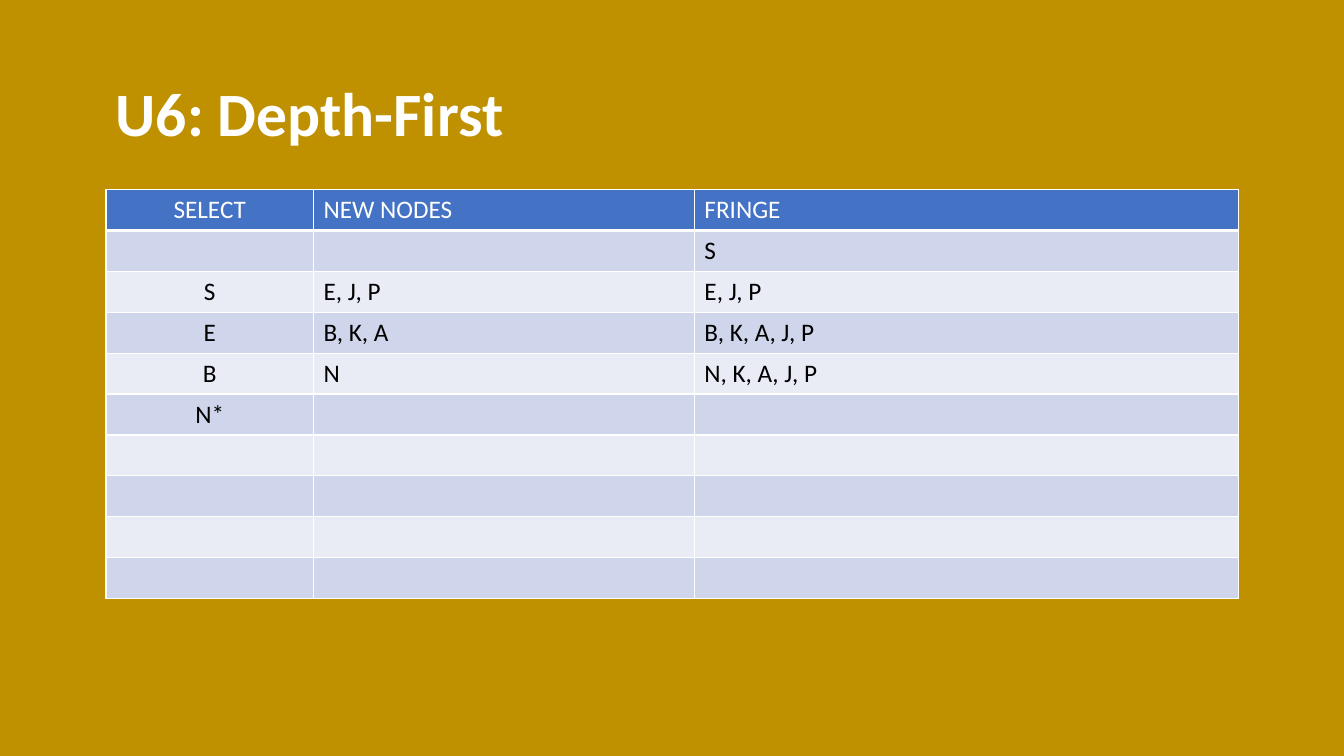
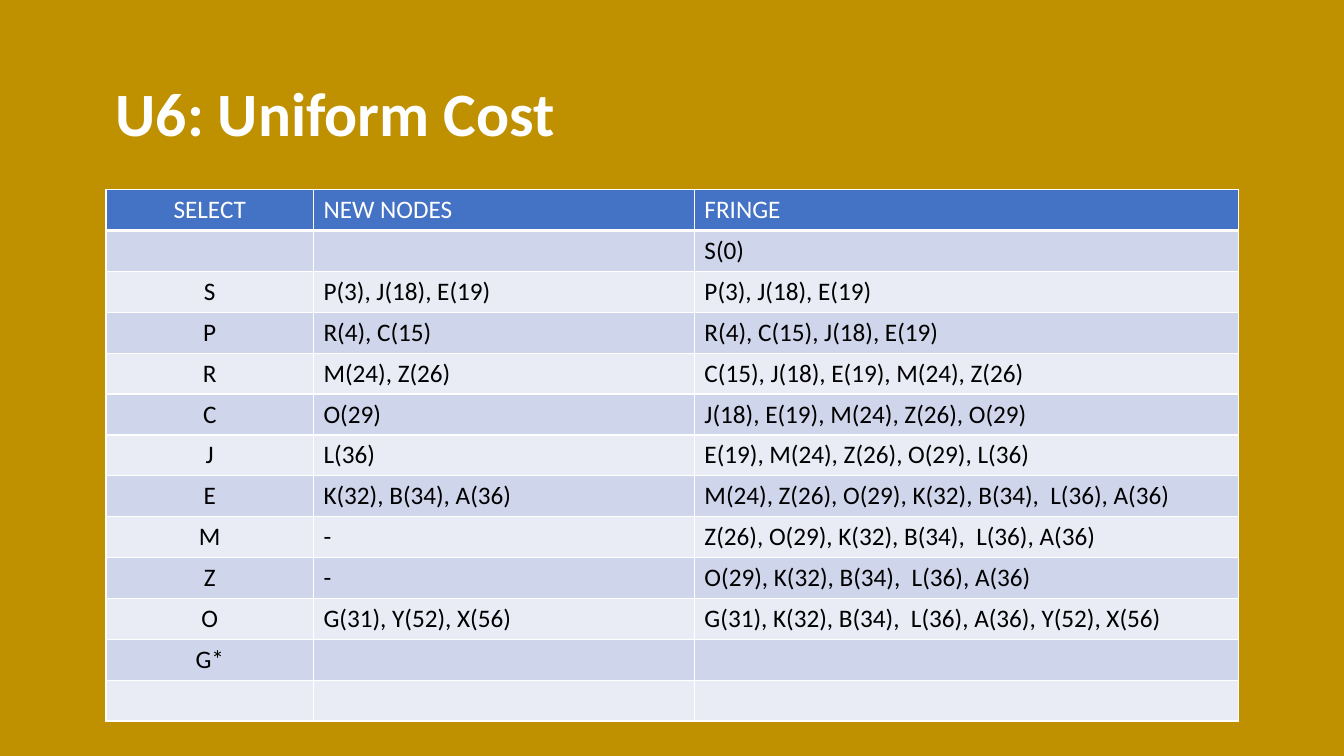
"""Build two search-trace slides, each a title above a table of search steps."""

from dataclasses import dataclass

from lxml import etree
from pptx import Presentation
from pptx.dml.color import RGBColor
from pptx.enum.text import MSO_ANCHOR, PP_ALIGN
from pptx.oxml.ns import qn
from pptx.presentation import Presentation as PresentationType
from pptx.slide import Slide
from pptx.table import _Cell
from pptx.text.text import TextFrame
from pptx.util import Cm, Pt

LEFT = PP_ALIGN.LEFT
CENTER = PP_ALIGN.CENTER
MIDDLE = MSO_ANCHOR.MIDDLE

FONT = "Calibri"
GOLD = "BF9000"
WHITE = "FFFFFF"
BLACK = "000000"
HEADER_BLUE = "4472C4"
BANDS = ("E9EBF5", "CFD5EA")

SLIDE_WIDTH, SLIDE_HEIGHT = Cm(33.87), Cm(19.05)
MARGIN_LEFT = Cm(2.67)
TITLE_TOP, TITLE_WIDTH, TITLE_HEIGHT = Cm(1.1), Cm(18.1), Cm(3.68)
TABLE_TOP = TITLE_TOP + TITLE_HEIGHT
COLUMN_WIDTHS = (Cm(5.23), Cm(9.6), Cm(13.72))
COLUMN_ALIGNMENTS = (CENTER, LEFT, LEFT)
ROW_HEIGHT = Cm(1.03)
HEADINGS = ("SELECT", "NEW NODES", "FRINGE")


@dataclass(frozen=True)
class SearchTrace:
    """A search strategy, its steps and the number of empty rows after them."""

    title: str
    steps: tuple[tuple[str, str, str], ...]
    spare_rows: int


TRACES = (
    SearchTrace(
        "U6: Depth-First",
        (
            ("", "", "S"),
            ("S", "E, J, P", "E, J, P"),
            ("E", "B, K, A", "B, K, A, J, P"),
            ("B", "N", "N, K, A, J, P"),
            ("N*", "", ""),
        ),
        spare_rows=4,
    ),
    SearchTrace(
        "U6: Uniform Cost",
        (
            ("", "", "S(0)"),
            ("S", "P(3), J(18), E(19)", "P(3), J(18), E(19)"),
            ("P", "R(4), C(15)", "R(4), C(15), J(18), E(19)"),
            ("R", "M(24), Z(26)", "C(15), J(18), E(19), M(24), Z(26)"),
            ("C", "O(29)", "J(18), E(19), M(24), Z(26), O(29)"),
            ("J", "L(36)", "E(19), M(24), Z(26), O(29), L(36)"),
            ("E", "K(32), B(34), A(36)", "M(24), Z(26), O(29), K(32), B(34),  L(36), A(36)"),
            ("M", "-", "Z(26), O(29), K(32), B(34),  L(36), A(36)"),
            ("Z", "-", "O(29), K(32), B(34),  L(36), A(36)"),
            ("O", "G(31), Y(52), X(56)", "G(31), K(32), B(34),  L(36), A(36), Y(52), X(56)"),
            ("G*", "", ""),
        ),
        spare_rows=1,
    ),
)


def color(value: str) -> RGBColor:
    """Turn a hex string into a colour."""
    return RGBColor.from_string(value)


def write_text(
    frame: TextFrame,
    text: str,
    *,
    size: float = 18,
    fill: str = BLACK,
    bold: bool = False,
    alignment: PP_ALIGN = LEFT,
    line_spacing: float = 1.0,
) -> None:
    """Write one formatted paragraph into a text frame."""
    paragraph = frame.paragraphs[0]
    paragraph.alignment = alignment
    paragraph.line_spacing = line_spacing
    paragraph.font.size = Pt(size)
    if not text:
        return
    run = paragraph.add_run()
    run.text = text
    run.font.name = FONT
    run.font.size = Pt(size)
    run.font.bold = bold
    run.font.color.rgb = color(fill)


def add_borders(cell: _Cell, bottom: float = 1) -> None:
    """Draw white borders, one point wide except for the bottom one."""
    properties = cell._tc.get_or_add_tcPr()
    for side, width in (("L", 1), ("R", 1), ("T", 1), ("B", bottom)):
        line = etree.SubElement(properties, qn(f"a:ln{side}"), w=str(Pt(width)))
        solid = etree.SubElement(line, qn("a:solidFill"))
        etree.SubElement(solid, qn("a:srgbClr"), val=WHITE)


def add_title(slide: Slide, text: str) -> None:
    """Add the slide title."""
    frame = slide.shapes.add_textbox(
        MARGIN_LEFT, TITLE_TOP, TITLE_WIDTH, TITLE_HEIGHT
    ).text_frame
    frame.word_wrap = True
    frame.vertical_anchor = MIDDLE
    write_text(frame, text, size=44, fill=WHITE, bold=True, line_spacing=0.9)


def add_trace_table(slide: Slide, trace: SearchTrace) -> None:
    """Add the banded table of search steps."""
    rows = (HEADINGS, *trace.steps, *[("", "", "")] * trace.spare_rows)
    table = slide.shapes.add_table(
        len(rows),
        len(HEADINGS),
        MARGIN_LEFT,
        TABLE_TOP,
        sum(COLUMN_WIDTHS),
        ROW_HEIGHT * len(rows),
    ).table
    for column, width in zip(table.columns, COLUMN_WIDTHS):
        column.width = width
    for row_index, values in enumerate(rows):
        is_header = row_index == 0
        table.rows[row_index].height = ROW_HEIGHT
        for column_index, text in enumerate(values):
            cell = table.cell(row_index, column_index)
            add_borders(cell, bottom=3 if is_header else 1)
            cell.fill.solid()
            cell.fill.fore_color.rgb = color(
                HEADER_BLUE if is_header else BANDS[row_index % 2]
            )
            write_text(
                cell.text_frame,
                text,
                fill=WHITE if is_header else BLACK,
                alignment=COLUMN_ALIGNMENTS[column_index],
            )


def add_trace_slide(presentation: PresentationType, trace: SearchTrace) -> None:
    """Add one slide showing a search trace."""
    slide = presentation.slides.add_slide(presentation.slide_layouts[6])
    add_title(slide, trace.title)
    add_trace_table(slide, trace)


def main() -> None:
    """Build and save the presentation."""
    presentation = Presentation()
    presentation.slide_width = SLIDE_WIDTH
    presentation.slide_height = SLIDE_HEIGHT
    background = presentation.slide_master.background.fill
    background.solid()
    background.fore_color.rgb = color(GOLD)
    for trace in TRACES:
        add_trace_slide(presentation, trace)
    presentation.save("out.pptx")


if __name__ == "__main__":
    main()
